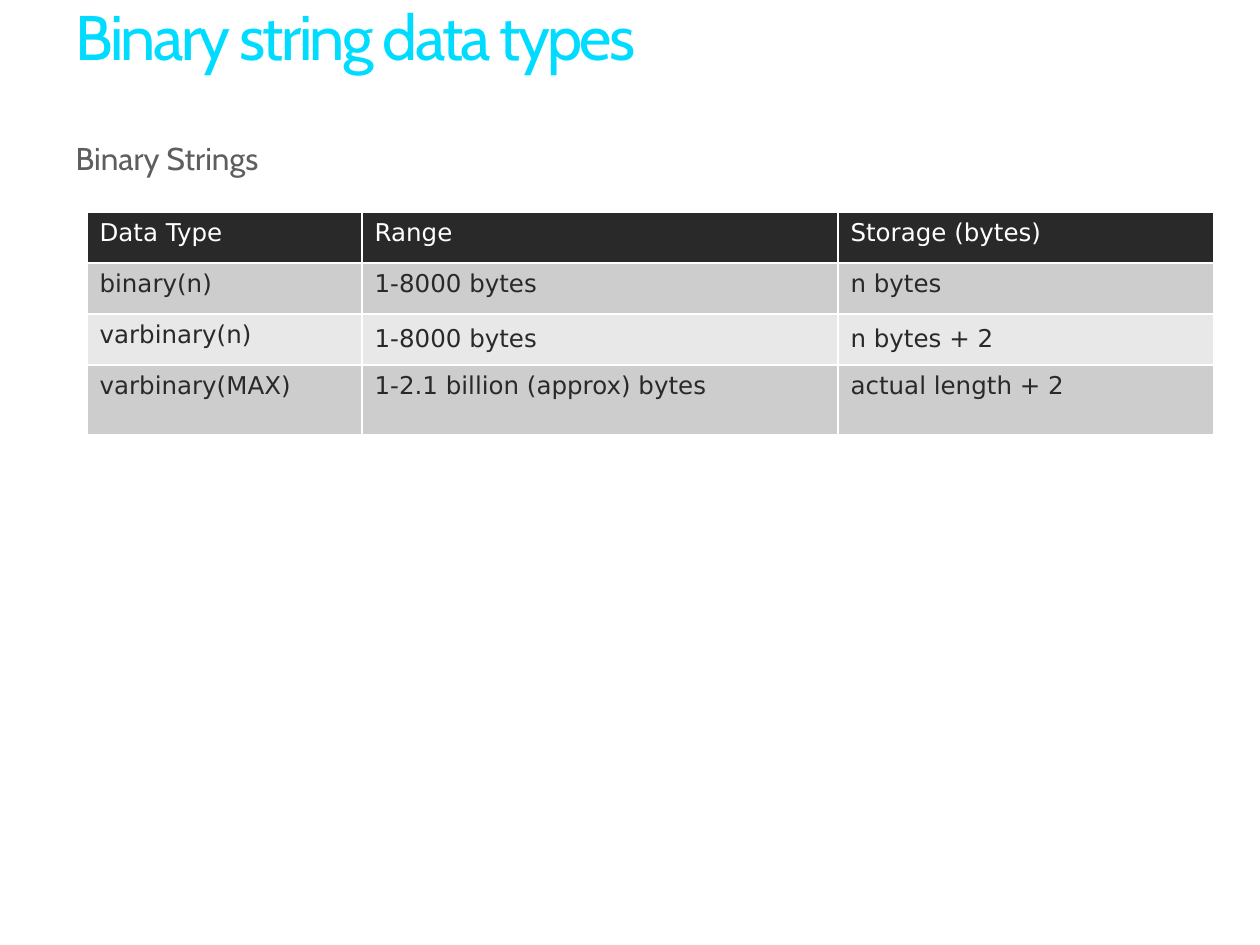
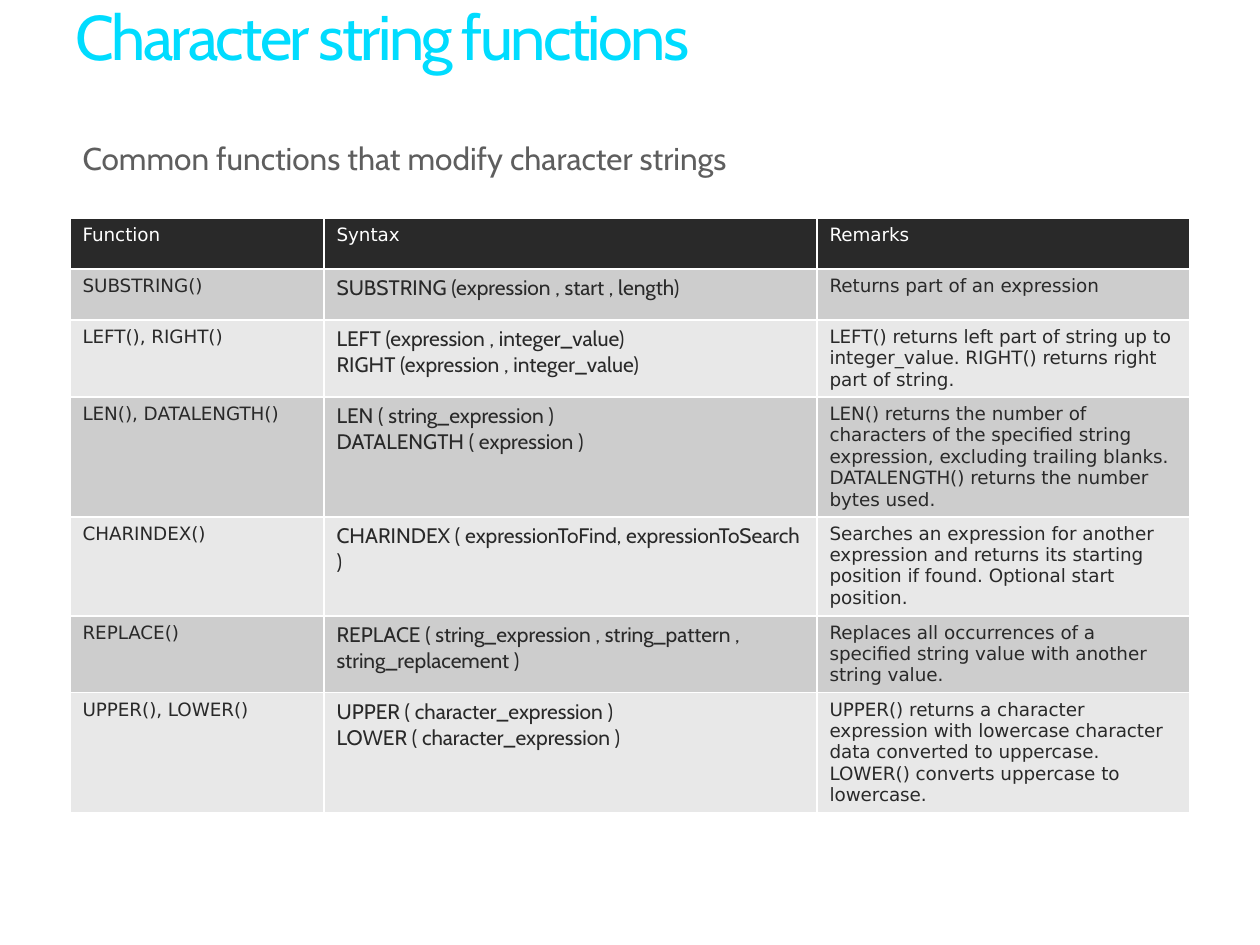
import dataclasses

import lxml.etree
import pptx
import pptx.dml.color
import pptx.enum.text
import pptx.oxml.ns
import pptx.util

PX = 914400 / 126  # EMU per px


@dataclasses.dataclass(frozen=True)
class Theme:
    title: str = "00DCFF"
    subtitle: str = "5E5E5E"
    dark: str = "292929"
    light: str = "FFFFFF"
    bands: tuple = ("CDCDCD", "E8E8E8")
    heading_font: str = "Cabin"
    table_font: str = "DejaVu Sans"
    title_size: float = 36
    subtitle_size: float = 18
    syntax_size: float = 12
    border_width: float = 1


theme = Theme()
rgb = pptx.dml.color.RGBColor.from_string
qn = pptx.oxml.ns.qn
ANCHOR = pptx.enum.text.MSO_ANCHOR


def px(n):
    return pptx.util.Emu(round(n * PX))


def format_text(tf, font, size, color):
    for p in tf.paragraphs:
        p.alignment = pptx.enum.text.PP_ALIGN.LEFT
        for r in p.runs:
            r.font.name = font
            r.font.size = pptx.util.Pt(size)
            r.font.color.rgb = rgb(color)


# Content: table lengths are in px, \v is a line break inside a paragraph
slides = [
    dict(
        title="Binary string data types",
        subtitle="Binary Strings",
        left=87, top=212, size=14,
        columns=[275, 476, 376],
        heights=[51, 51, 51, 70],
        syntax_column=None,
        middle_cells={(2, 1), (2, 2)},
        rows=[
            ("Data Type", "Range", "Storage (bytes)"),
            ("binary(n)", "1-8000 bytes", "n bytes"),
            ("varbinary(n)", "1-8000 bytes", "n bytes + 2"),
            ("varbinary(MAX)", "1-2.1 billion (approx) bytes", "actual length + 2"),
        ],
    ),
    dict(
        title="Character string functions",
        subtitle=" Common functions that modify character strings",
        left=70, top=218, size=10.5,
        columns=[254, 493, 373],
        heights=[51, 51, 77, 119, 99, 77, 119],
        syntax_column=1,
        middle_cells=set(),
        rows=[
            ("Function", "Syntax", "Remarks"),
            ("SUBSTRING()", "SUBSTRING (expression , start , length)",
             "Returns part of an expression"),
            ("LEFT(), RIGHT()",
             "LEFT (expression , integer_value)\vRIGHT (expression , integer_value)",
             "LEFT() returns left part of string up to integer_value. "
             "RIGHT() returns right part of string."),
            ("LEN(), DATALENGTH()",
             "LEN ( string_expression ) \vDATALENGTH ( expression )",
             "LEN() returns the number of characters of the specified string "
             "expression, excluding trailing blanks. "
             "DATALENGTH() returns the number bytes used."),
            ("CHARINDEX()", "CHARINDEX ( expressionToFind, expressionToSearch )",
             "Searches an expression for another expression and returns its "
             "starting position if found. Optional start position."),
            ("REPLACE()",
             "REPLACE ( string_expression , string_pattern , string_replacement )",
             "Replaces all occurrences of a specified string value with "
             "another string value."),
            ("UPPER(), LOWER()",
             "UPPER ( character_expression ) \vLOWER ( character_expression )",
             "UPPER() returns a character expression with lowercase character "
             "data converted to uppercase. "
             "LOWER() converts uppercase to lowercase."),
        ],
    ),
]

prs = pptx.Presentation()
prs.slide_width, prs.slide_height = px(1260), px(945)

for content in slides:
    s = prs.slides.add_slide(prs.slide_layouts[1])

    # Title and subtitle placeholders
    title, body = s.shapes.title, s.placeholders[1]
    for sp, text, top, width, height, size, color in (
        (title, content["title"], 0, 1071, 102, theme.title_size, theme.title),
        (body, content["subtitle"], 137, 1068, 605, theme.subtitle_size, theme.subtitle),
    ):
        sp.left, sp.top, sp.width, sp.height = px(63), px(top), px(width), px(height)
        tf = sp.text_frame
        tf.text = text
        tf.auto_size = pptx.enum.text.MSO_AUTO_SIZE.NONE
        tf.vertical_anchor = ANCHOR.TOP
        tf.paragraphs[0].line_spacing = 0.9
        format_text(tf, theme.heading_font, size, color)
    title.text_frame.paragraphs[0].runs[0].font._element.set("spc", "-150")
    pPr = body.text_frame.paragraphs[0]._p.get_or_add_pPr()
    pPr.set("marL", "0")
    pPr.set("indent", "0")
    lxml.etree.SubElement(pPr, qn("a:buNone"))

    # Table
    rows, columns, heights = content["rows"], content["columns"], content["heights"]
    table = s.shapes.add_table(
        len(rows), len(columns), px(content["left"]), px(content["top"]),
        px(sum(columns)), px(sum(heights))).table
    for column, width in zip(table.columns, columns):
        column.width = px(width)
    for row, height in zip(table.rows, heights):
        row.height = px(height)

    # Cells: dark header, banded rows, white borders
    for i, row in enumerate(rows):
        for j, text in enumerate(row):
            cell = table.cell(i, j)
            cell.text_frame.text = text
            cell.vertical_anchor = ANCHOR.MIDDLE if (i, j) in content["middle_cells"] else ANCHOR.TOP
            font, size = theme.table_font, content["size"]
            if i > 0 and j == content["syntax_column"]:
                font, size = theme.heading_font, theme.syntax_size
            format_text(cell.text_frame, font, size, theme.dark if i else theme.light)

            tcPr = cell._tc.get_or_add_tcPr()
            for side in ("a:lnL", "a:lnR", "a:lnT", "a:lnB"):
                ln = lxml.etree.SubElement(
                    tcPr, qn(side), w=str(pptx.util.Pt(theme.border_width)))
                fill = lxml.etree.SubElement(ln, qn("a:solidFill"))
                lxml.etree.SubElement(fill, qn("a:srgbClr"), val=theme.light)
            cell.fill.solid()
            cell.fill.fore_color.rgb = rgb(theme.bands[(i - 1) % 2] if i else theme.dark)

prs.save("out.pptx")
